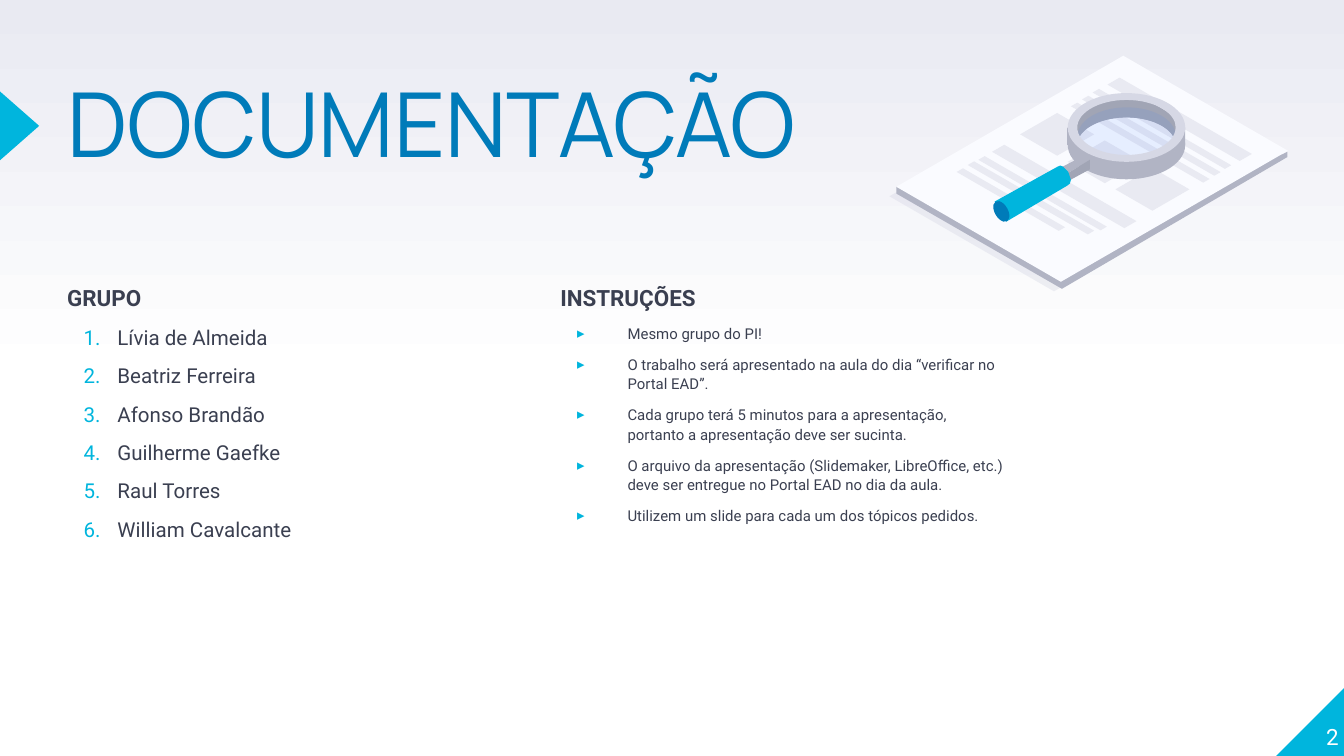
from math import cos, radians, sin, tan

from lxml.etree import SubElement
from pptx import Presentation
from pptx.dml.color import RGBColor
from pptx.enum.shapes import MSO_SHAPE as Shape
from pptx.enum.text import MSO_ANCHOR as Anchor, PP_ALIGN as Align
from pptx.oxml.ns import qn
from pptx.util import Cm, Pt

COLORS = {
    "white": "FFFFFF", "mist": "E9EAF2", "paper": "FAFBFF", "cyan": "00B5DD",
    "blue": "007BB9", "ink": "3A3F50", "silver": "D6D8E5", "gray": "B1B4C4",
    "steel": "A1A5B5", "glass": "3E7EFF",
}
GROUP = ["Lívia de Almeida", "Beatriz Ferreira", "Afonso Brandão",
         "Guilherme Gaefke", "Raul Torres", "William Cavalcante"]
INSTRUCTIONS = [
    "Mesmo grupo do PI!",
    "O trabalho será apresentado na aula do dia “verificar no Portal EAD”.",
    "Cada grupo terá 5 minutos para a apresentação, portanto a apresentação deve ser sucinta.",
    "O arquivo da apresentação (Slidemaker, LibreOffice, etc.) deve ser entregue no Portal EAD no dia da aula.",
    "Utilizem um slide para cada um dos tópicos pedidos.",
]
TEXT_BARS = [
    (20.93, 1.6, 2.5, 0.23), (20.65, 1.75, 2.5, 0.12),
    (20.45, 1.88, 2.5, 0.12), (20.24, 2.01, 2.5, 0.12),
    (18.75, 2.87, 2.5, 0.23), (18.49, 3.02, 2.31, 0.12),
    (18.29, 3.12, 2.27, 0.12), (18.08, 3.25, 1.93, 0.12),
]
SHEET_EDGE = [(16.94, 3.53), (16.94, 3.66), (20.07, 5.46), (24.33, 2.97),
              (24.33, 2.87), (24.23, 2.92), (21.23, 1.17), (17.04, 3.58)]
RIM_BACK = [(20.32, 2.44), (20.29, 2.41), (20.42, 2.11), (20.85, 1.85),
            (21.67, 1.88), (22.22, 2.21), (22.22, 2.41)]
RIM_LEFT = [(20.17, 2.74), (20.17, 2.41), (20.35, 2.69)]
RIM_RIGHT = [(22.4, 2.74), (22.4, 2.41), (22.25, 2.57)]
RIM_FRONT = [(20.24, 2.62), (20.24, 2.79), (20.47, 3.12), (20.83, 3.28),
             (21.46, 3.33), (21.89, 3.23), (22.15, 3.02), (22.28, 2.62),
             (22, 2.87), (21.62, 2.97), (21.08, 3), (20.65, 2.92), (20.47, 2.84)]
NECK_TOP = [(20.6, 3.02), (20.14, 3.3), (19.99, 3.2), (20.47, 2.95)]
NECK_SIDE = [(20.6, 3.2), (20.14, 3.45), (20.14, 3.3), (20.6, 3.02)]
HANDLE = [(20.24, 3.4), (20.19, 3.25), (20.09, 3.15), (20.04, 3.13), (19.99, 3.15),
          (18.8, 3.81), (19.02, 4.19), (20.17, 3.51), (20.22, 3.47)]
LENS_X, RIM_TOP, RIM_BOTTOM = 21.29, 2.41, 2.74
OUTER, INNER = (1.11, 0.65), (0.93, 0.52)


def isometric(left, top, run, depth):
    """Return the corners of an isometric panel from its left corner."""
    slope = tan(radians(30))
    return [(left, top), (left + depth, top - slope * depth),
            (left + depth + run, top + slope * (run - depth)),
            (left + run, top + slope * run)]


def arc(middle, radii, start=0, stop=360, steps=60):
    """Return points along an ellipse around the lens axis."""
    angles = [radians(start + (stop - start) * step / steps) for step in range(steps + 1)]
    return [(LENS_X + radii[0] * cos(angle), middle + radii[1] * sin(angle)) for angle in angles]


class SlideBuilder:
    """Holds the style and the current slide."""

    def __init__(self, deck):
        """Add a blank page."""
        self.page = deck.slides.add_slide(deck.slide_layouts[6])
        self.shapes = self.page.shapes

    def color(self, name):
        """Look up a colour."""
        return RGBColor.from_string(COLORS[name])

    def background(self):
        """Fade the page from white up to mist."""
        fill = self.page.background.fill
        fill.gradient()
        fill.gradient_angle = 90
        for stop, position, name in zip(fill.gradient_stops, (0.5, 1), ("white", "mist")):
            stop.position = position
            stop.color.rgb = self.color(name)

    def paint(self, shape, name, opacity=None):
        """Give a shape a plain fill without line or shadow."""
        shape.shadow.inherit = False
        shape.line.fill.background()
        shape.fill.solid()
        shape.fill.fore_color.rgb = self.color(name)
        if opacity:
            tone = next(shape._element.spPr.iter(qn("a:srgbClr")))
            SubElement(tone, qn("a:alpha"), val=str(opacity * 1000))

    def preset(self, kind, frame, name, rotation=0, opacity=None):
        """Add a preset shape."""
        shape = self.shapes.add_shape(kind, *map(Cm, frame))
        shape.rotation = rotation
        self.paint(shape, name, opacity)

    def outline(self, name, *contours, opacity=None):
        """Add a freeform; further contours cut holes."""
        scaled = [[(x * 1000, y * 1000) for x, y in contour] for contour in contours]
        builder = self.shapes.build_freeform(*scaled[0][0], scale=Cm(1) / 1000)
        for index, points in enumerate(scaled):
            if index:
                builder.move_to(*points[0])
            builder.add_line_segments(points[1:], close=True)
        self.paint(builder.convert_to_shape(), name, opacity)

    def text_box(self, frame, anchor=Anchor.TOP):
        """Add a wrapping box without insets."""
        box = self.shapes.add_textbox(*map(Cm, frame)).text_frame
        box.word_wrap = True
        box.vertical_anchor = anchor
        box.margin_left = box.margin_right = box.margin_top = box.margin_bottom = 0
        return box

    def set_text(self, para, text, size, name="ink", face="Roboto", bold=False, spacing=1.0, align=Align.LEFT):
        """Fill and style a paragraph."""
        para.text = text
        para.alignment = align
        para.line_spacing = spacing
        font = para.font
        font.name, font.size, font.bold = face, Pt(size), bold
        font.color.rgb = self.color(name)

    def bullet(self, para, margin, indent, tag, **mark):
        """Add a hanging cyan bullet or number."""
        props = para._p.get_or_add_pPr()
        props.set("marL", str(Cm(margin)))
        props.set("indent", str(Cm(indent)))
        SubElement(SubElement(props, qn("a:buClr")), qn("a:srgbClr"), val=COLORS["cyan"])
        SubElement(props, qn("a:buFont"), typeface="Roboto")
        SubElement(props, qn(tag), **mark)

    def item_list(self, left, heading, items, size, align, margin, indent, tag, **mark):
        """Add a headed list."""
        box = self.text_box((left, 5.33, 8.46, 5.92))
        self.set_text(box.paragraphs[0], heading, 12, bold=True, spacing=1.1)
        for item in items:
            para = box.add_paragraph()
            self.bullet(para, margin, indent, tag, **mark)
            self.set_text(para, item, size, spacing=1.1, align=align)
            para.space_before = Pt(6)

    def illustration(self):
        """Draw a magnifier over a printed sheet."""
        self.shapes = self.page.shapes.add_group_shape().shapes
        self.outline("silver", isometric(16.81, 3.71, 3.11, 4.29), opacity=40)
        self.outline("gray", SHEET_EDGE)
        self.outline("paper", isometric(16.94, 3.53, 3.11, 4.29))
        for bar in TEXT_BARS:
            self.outline("mist", isometric(*bar))
        for index in range(3):
            self.outline("mist", isometric(19.28 + 0.9 * index, 2.54 + 0.52 * index, 0.7, 0.7))
        self.outline("gray", arc(RIM_BOTTOM, OUTER), arc(RIM_BOTTOM, INNER))
        self.outline("steel", arc(RIM_BOTTOM, INNER, -17, -163) + RIM_BACK)
        self.outline("gray", RIM_LEFT)
        self.outline("gray", RIM_RIGHT)
        self.preset(Shape.OVAL, (20.37, 2.03, 1.85, 1.07), "glass", opacity=10)
        self.outline("gray", RIM_FRONT)
        self.outline("silver", arc(RIM_TOP, OUTER), arc(RIM_TOP, INNER))
        self.outline("gray", NECK_TOP)
        self.outline("steel", NECK_SIDE)
        self.outline("cyan", HANDLE)
        self.preset(Shape.OVAL, (18.8, 3.78, 0.25, 0.43), "blue", 330)


def main():
    """Build the slide."""
    deck = Presentation()
    deck.slide_width, deck.slide_height = Cm(25.4), Cm(14.29)
    slide = SlideBuilder(deck)
    slide.background()
    slide.preset(Shape.RIGHT_TRIANGLE, (24.12, 12.99, 1.3, 1.3), "cyan", 270)
    slide.preset(Shape.ISOSCELES_TRIANGLE, (-0.28, 2.01, 1.3, 0.74), "cyan", 90)
    title = slide.text_box((1.27, 1.68, 15.67, 3))
    slide.set_text(title.paragraphs[0], "DOCUMENTAÇÃO", 48, "blue", "Manrope", spacing=0.8)
    slide.item_list(10.59, "INSTRUÇÕES", INSTRUCTIONS, 8, Align.LEFT, 1.27, -0.95, "a:buChar", char="▸")
    slide.item_list(1.27, "GRUPO", GROUP, 11, Align.JUSTIFY, 0.95, -0.64, "a:buAutoNum", type="arabicPeriod")
    number = slide.text_box((24.03, 12.88, 1.27, 1.3), Anchor.BOTTOM)
    slide.set_text(number.paragraphs[0], "2", 12, "white", align=Align.RIGHT)
    slide.illustration()
    deck.save("out.pptx")


if __name__ == "__main__":
    main()
